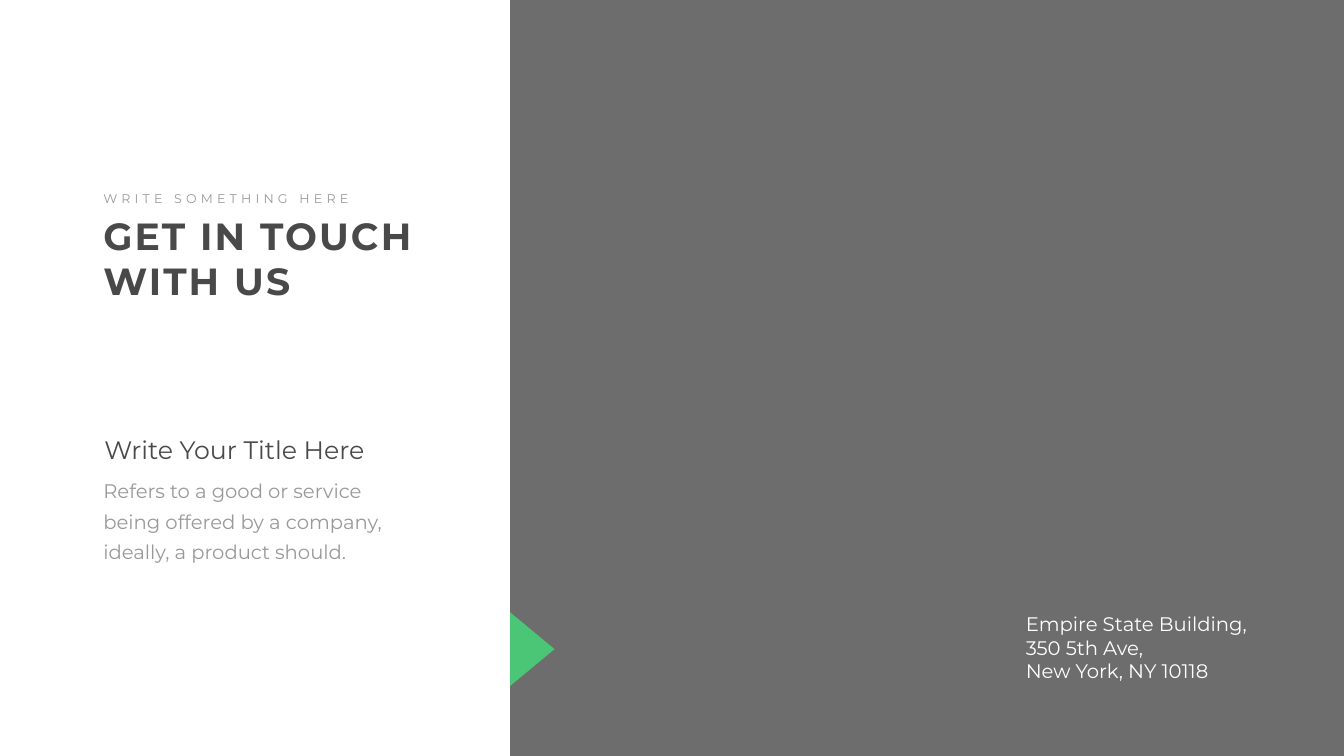
from dataclasses import dataclass

from lxml.etree import SubElement
from pptx import Presentation
from pptx.dml.color import RGBColor
from pptx.enum.shapes import MSO_SHAPE
from pptx.enum.text import MSO_ANCHOR, MSO_AUTO_SIZE, PP_ALIGN
from pptx.oxml.ns import qn
from pptx.util import Pt

SCALE = 9144


@dataclass(frozen=True)
class Theme:
    face: str = "Montserrat"
    dark: str = "494949"
    soft: str = "999999"
    light: str = "FFFFFF"
    accent: str = "4BC676"
    small: int = 18
    body: int = 28
    head: int = 36
    title: int = 54


THEME = Theme()


def px(size):
    return size * SCALE


def place(shape, box):
    for key, size in zip(("left", "top", "width", "height"), box):
        setattr(shape, key, px(size))


def apply(target, values):
    for key, value in values.items():
        setattr(target, key, value)


def write(shape, lines, size, color, bold=False, track=0, wrap=True,
          pad=(10, 5), lead=None):
    frame = shape.text_frame
    side, edge = map(px, pad)
    apply(frame, {
        "auto_size": MSO_AUTO_SIZE.NONE,
        "word_wrap": wrap,
        "vertical_anchor": MSO_ANCHOR.TOP,
        "margin_left": side,
        "margin_right": side,
        "margin_top": edge,
        "margin_bottom": edge,
    })
    frame.text = "\n".join(lines)
    for para in frame.paragraphs:
        apply(para, {"alignment": PP_ALIGN.LEFT, "line_spacing": lead})
        for run in para.runs:
            apply(run.font, {"name": THEME.face, "size": Pt(size), "bold": bold})
            run.font.color.rgb = RGBColor.from_string(color)
            if track:
                run._r.get_or_add_rPr().set("spc", str(track * 100))


def add_text(slide, box, lines, size, color, **style):
    shape = slide.shapes.add_textbox(*map(px, box))
    write(shape, lines, size, color, **style)


def add_title(slide, box, text):
    title = slide.shapes.title
    place(title, box)
    write(title, [text], THEME.title, THEME.dark, bold=True, track=3)


def add_block(slide, kind, box, color, turn=0, alpha=100):
    shape = slide.shapes.add_shape(kind, *map(px, box))
    shape.rotation = turn
    shape.shadow.inherit = False
    shape.line.fill.background()
    shape.fill.solid()
    shape.fill.fore_color.rgb = RGBColor.from_string(color)
    if alpha < 100:
        tint = shape._element.spPr.find(qn("a:solidFill"))[0]
        SubElement(tint, qn("a:alpha")).set("val", str(alpha * 1000))


def main():
    deck = Presentation()
    apply(deck, {"slide_width": px(2666), "slide_height": px(1500)})
    slide = deck.slides.add_slide(deck.slide_layouts[5])

    add_block(slide, MSO_SHAPE.RECTANGLE, (1012, 0, 1654, 1500),
              THEME.dark, alpha=80)
    add_title(slide, (195, 417, 697, 192), "GET IN TOUCH WITH US")
    add_text(slide, (195, 374, 518, 40), ["WRITE SOMETHING HERE"],
             THEME.small, THEME.soft, track=6, wrap=False)
    add_text(slide, (181, 926, 627, 200),
             ["Refers to a good or service being offered by a company, "
              "ideally, a product should."],
             THEME.body, THEME.soft, pad=(24, 12), lead=Pt(43))
    add_text(slide, (197, 856, 610, 71), ["Write Your Title Here"],
             THEME.head, THEME.dark)
    add_text(slide, (2025, 1210, 497, 151),
             ["Empire State Building, 350 5th Ave,", "New York, NY 10118"],
             THEME.body, THEME.light)
    add_block(slide, MSO_SHAPE.ISOSCELES_TRIANGLE, (983, 1244, 146, 88),
              THEME.accent, turn=90)
    deck.save("out.pptx")


if __name__ == "__main__":
    main()
